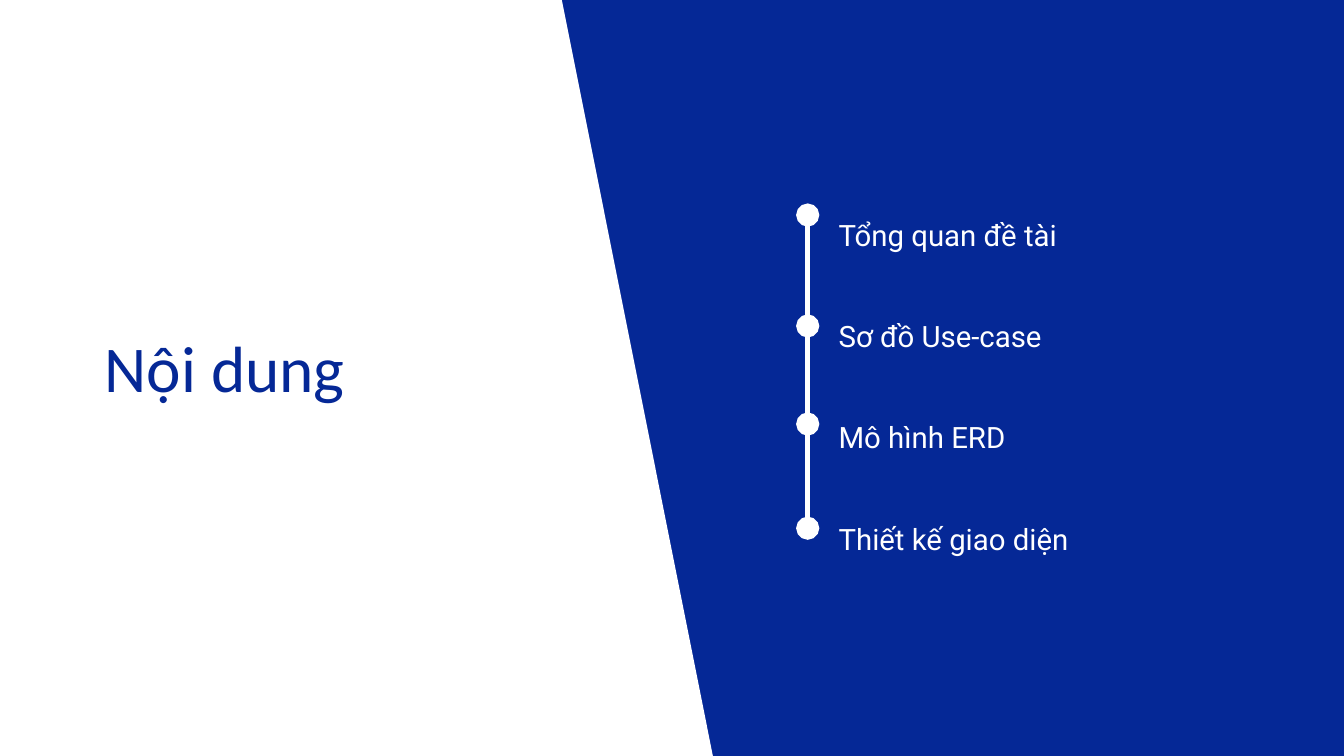
"""Build the contents slide: a title on a slanted white panel and a four-step timeline."""
import pptx
import pptx.util
import pptx.dml.color
import pptx.enum.shapes
import pptx.enum.text
import lxml.etree
import pptx.oxml.ns

TITLE = "Nội dung"
ITEMS = ["Tổng quan đề tài", "Sơ đồ Use-case", "Mô hình ERD", "Thiết kế giao diện"]
LINKS = [(3.2, 4.85), (4.85, 6.31), (6.2, 7.86)]
COLORS = {"navy": "052896", "white": "FFFFFF"}
WIDE, HIGH = 20, 11.25
LIST_X, LIST_Y, STEP = 12.48, 3.02, 1.507
LINE_X = 12.02

inch = pptx.util.Inches


def color(name):
    return pptx.dml.color.RGBColor.from_string(COLORS[name])


def write(shape, text, size, face, hue, space):
    frame = shape.text_frame
    frame.text = text
    frame.word_wrap = True
    frame.auto_size = pptx.enum.text.MSO_AUTO_SIZE.SHAPE_TO_FIT_TEXT
    frame.vertical_anchor = pptx.enum.text.MSO_ANCHOR.TOP
    frame.margin_left = frame.margin_right = 0
    frame.margin_top = frame.margin_bottom = 0
    para = frame.paragraphs[0]
    para.alignment = pptx.enum.text.PP_ALIGN.LEFT
    para.line_spacing = space
    para.space_before = pptx.util.Pt(0)
    font = para.runs[0].font
    font.size = pptx.util.Pt(size)
    font.name = face
    font.color.rgb = color(hue)


def join(group, top, end, tips):
    kind = pptx.enum.shapes.MSO_CONNECTOR.STRAIGHT
    link = group.shapes.add_connector(
        kind, inch(LINE_X), inch(top), inch(LINE_X), inch(end))
    link.line.color.rgb = color("white")
    link.line.width = pptx.util.Pt(5)
    tag = pptx.oxml.ns.qn
    props = link._element.spPr
    stroke = props.find(tag("a:ln"))
    for tip in tips:
        lxml.etree.SubElement(stroke, tag(tip), type="oval", w="lg", len="lg")
    lxml.etree.SubElement(props, tag("a:effectLst"))


def main():
    deck = pptx.Presentation()
    deck.slide_width, deck.slide_height = inch(WIDE), inch(HIGH)
    slide = deck.slides.add_slide(deck.slide_layouts[5])
    slide.background.fill.solid()
    slide.background.fill.fore_color.rgb = color("navy")

    panel = slide.shapes.add_shape(
        pptx.enum.shapes.MSO_SHAPE.RECTANGLE,
        inch(-3.57), inch(0.15), inch(14.87), inch(11.04))
    panel.rotation = 258.7
    panel.shadow.inherit = False
    panel.fill.solid()
    panel.fill.fore_color.rgb = color("white")
    panel.line.fill.background()

    title = slide.shapes.title
    panel._element.addnext(title._element)
    title.left, title.top = inch(1.56), inch(4.63)
    title.width, title.height = inch(7.53), inch(1.15)
    write(title, TITLE, 70, "Calibri", "navy", 1.2)

    for row, item in enumerate(ITEMS):
        box = slide.shapes.add_textbox(
            inch(LIST_X), inch(LIST_Y + row * STEP), inch(6.77), inch(0.6))
        write(box, item, 31.5, "Roboto", "white", 1.4)

    group = slide.shapes.add_group_shape()
    for row, (top, end) in enumerate(LINKS):
        tips = ["a:tailEnd"] if row else ["a:headEnd", "a:tailEnd"]
        join(group, top, end, tips)

    deck.save("out.pptx")


if __name__ == "__main__":
    main()
